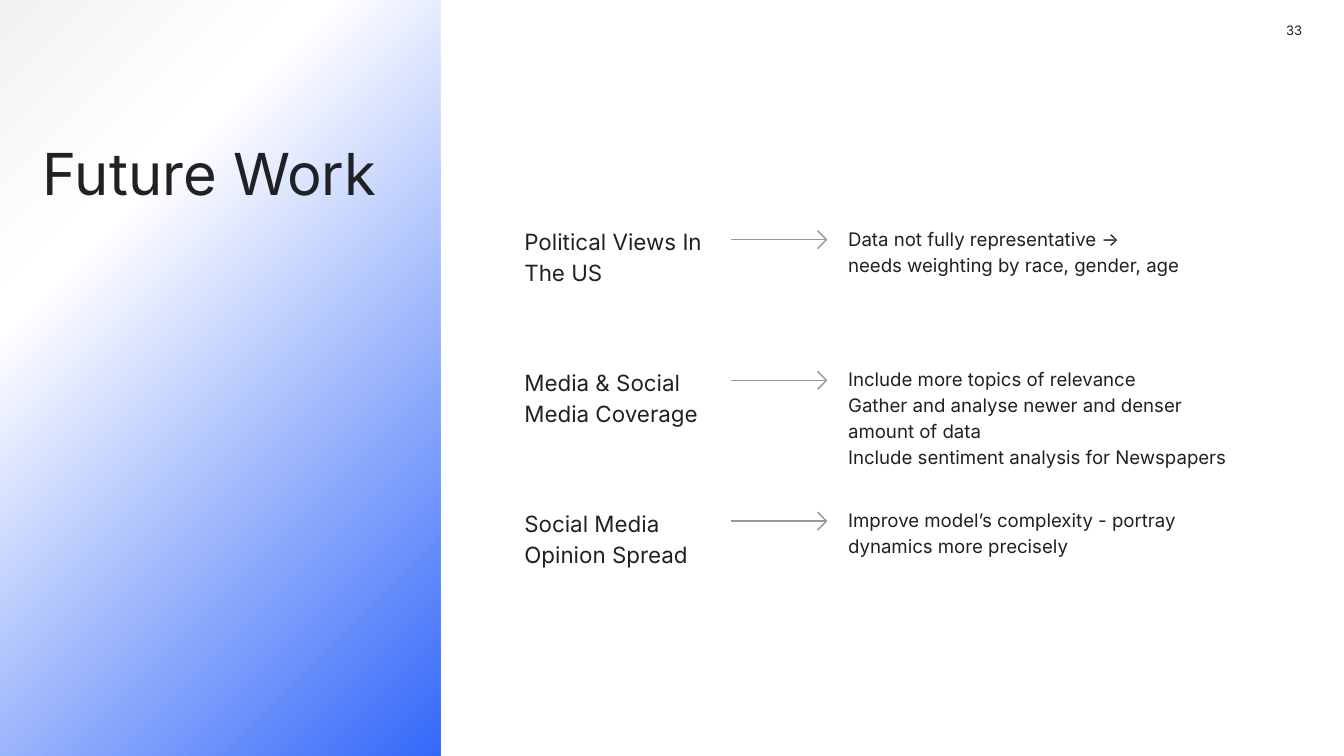
from lxml import etree
from pptx import Presentation
from pptx.dml.color import RGBColor
from pptx.enum.shapes import MSO_CONNECTOR, MSO_SHAPE
from pptx.enum.text import MSO_ANCHOR, MSO_AUTO_SIZE, PP_ALIGN
from pptx.oxml.ns import qn
from pptx.util import Cm, Pt

RECT = MSO_SHAPE.RECTANGLE
STRAIGHT = MSO_CONNECTOR.STRAIGHT
TOP = MSO_ANCHOR.TOP
NO_FIT = MSO_AUTO_SIZE.NONE
LEFT, RIGHT = PP_ALIGN.LEFT, PP_ALIGN.RIGHT

COLORS = {"text": "202124", "arrow": "999999", "blue": "3368F9",
          "white": "FFFFFF", "gray": "F2F2F2"}
FONT = "Inter"

# Each row: topic, planned improvements (\v is a line break)
ROWS = [
    ("Political Views In The US",
     ["Data not fully representative →\vneeds weighting by race, gender, age"]),
    ("Media & Social Media Coverage",
     ["Include more topics of relevance",
      "Gather and analyse newer and denser amount of data",
      "Include sentiment analysis for Newspapers"]),
    ("Social Media Opinion Spread",
     ["Improve model’s complexity - portray dynamics more precisely"]),
]
ROW_TOP, ROW_STEP = 4.24, 2.66
TOPIC_X, ARROW_X, DETAIL_X = 9.91, 13.82, 16.03
ARROW_LEN, ARROW_DROP, HEAD = 1.8, 0.29, 0.17


def fill_text(sp, paragraphs, size, align=LEFT, spacing=1.0, margin=0.0):
    """Write formatted paragraphs into a text box or placeholder."""
    tf = sp.text_frame
    frame = {"word_wrap": True, "auto_size": NO_FIT, "vertical_anchor": TOP,
             "margin_left": 0, "margin_right": 0,
             "margin_top": Cm(margin), "margin_bottom": Cm(margin)}
    for name, value in frame.items():
        setattr(tf, name, value)
    for i, text in enumerate(paragraphs):
        p = tf.paragraphs[0] if i == 0 else tf.add_paragraph()
        p.text = text
        p.alignment, p.line_spacing = align, spacing
        for r in p.runs:
            r.font.name, r.font.size = FONT, Pt(size)
            r.font.color.rgb = RGBColor.from_string(COLORS["text"])


def add_text(s, x, y, w, h, paragraphs, size, **fmt):
    sp = s.shapes.add_textbox(Cm(x), Cm(y), Cm(w), Cm(h))
    fill_text(sp, paragraphs, size, **fmt)


def add_panel(s):
    """Diagonal gradient panel, placed behind everything else."""
    sp = s.shapes.add_shape(RECT, Cm(-0.08), 0, Cm(8.4), Cm(14.33))
    sp.shadow.inherit = False
    sp.line.fill.background()
    sp.fill.gradient()
    grad = sp.fill._xPr.find(qn("a:gradFill"))
    for child in list(grad):
        grad.remove(child)
    stops = etree.SubElement(grad, qn("a:gsLst"))
    for percent, color in ((0, "gray"), (28, "white"), (100, "blue")):
        gs = etree.SubElement(stops, qn("a:gs"), pos=str(percent * 1000))
        etree.SubElement(gs, qn("a:srgbClr"), val=COLORS[color])
    etree.SubElement(grad, qn("a:lin"), ang="2700000", scaled="0")
    s.shapes._spTree.insert(2, sp._element)


def add_arrow(s, x, y):
    """Grouped shaft and two open head strokes."""
    group = s.shapes.add_group_shape()
    tip = x + ARROW_LEN
    starts = ((x, y), (tip - HEAD, y - HEAD), (tip - HEAD, y + HEAD))
    for x1, y1 in starts:
        line = group.shapes.add_connector(STRAIGHT, Cm(x1), Cm(y1), Cm(tip), Cm(y))
        line.line.width = Pt(0.75)
        line.line.color.rgb = RGBColor.from_string(COLORS["arrow"])
        etree.SubElement(line._element.spPr, qn("a:effectLst"))


def add_title(s, text):
    sp = s.shapes.title
    box = {"left": 0.81, "top": 2.36, "width": 6.4, "height": 4.8}
    for name, value in box.items():
        setattr(sp, name, Cm(value))
    fill_text(sp, [text], 31, margin=0.25)


def main():
    prs = Presentation()
    prs.slide_width, prs.slide_height = Cm(25.4), Cm(14.29)
    s = prs.slides.add_slide(prs.slide_layouts[5])

    # Left panel, title and page number
    add_panel(s)
    add_title(s, "Future Work")
    add_text(s, 23.09, 0.18, 1.52, 0.81, ["33"], 7, align=RIGHT, margin=0.25)

    # Topic, arrow and improvements per row
    for i, (topic, details) in enumerate(ROWS):
        y = ROW_TOP + i * ROW_STEP
        add_text(s, TOPIC_X, y, 3.96, 1.14, [topic], 12, spacing=1.15)
        add_arrow(s, ARROW_X, y + ARROW_DROP)
        add_text(s, DETAIL_X, y, 7.47, 1.3, details, 10, spacing=1.15)

    prs.save("out.pptx")


if __name__ == "__main__":
    main()
